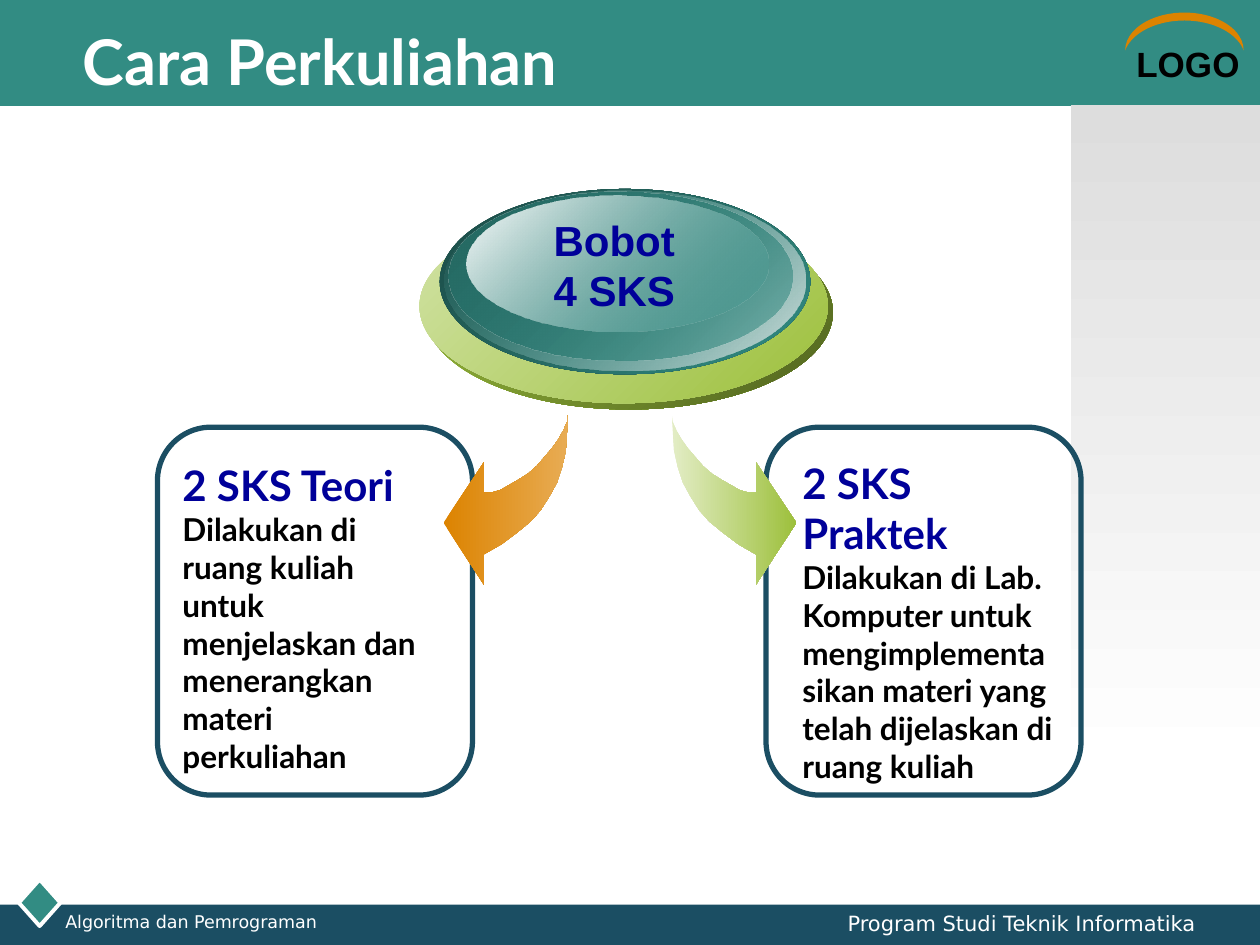
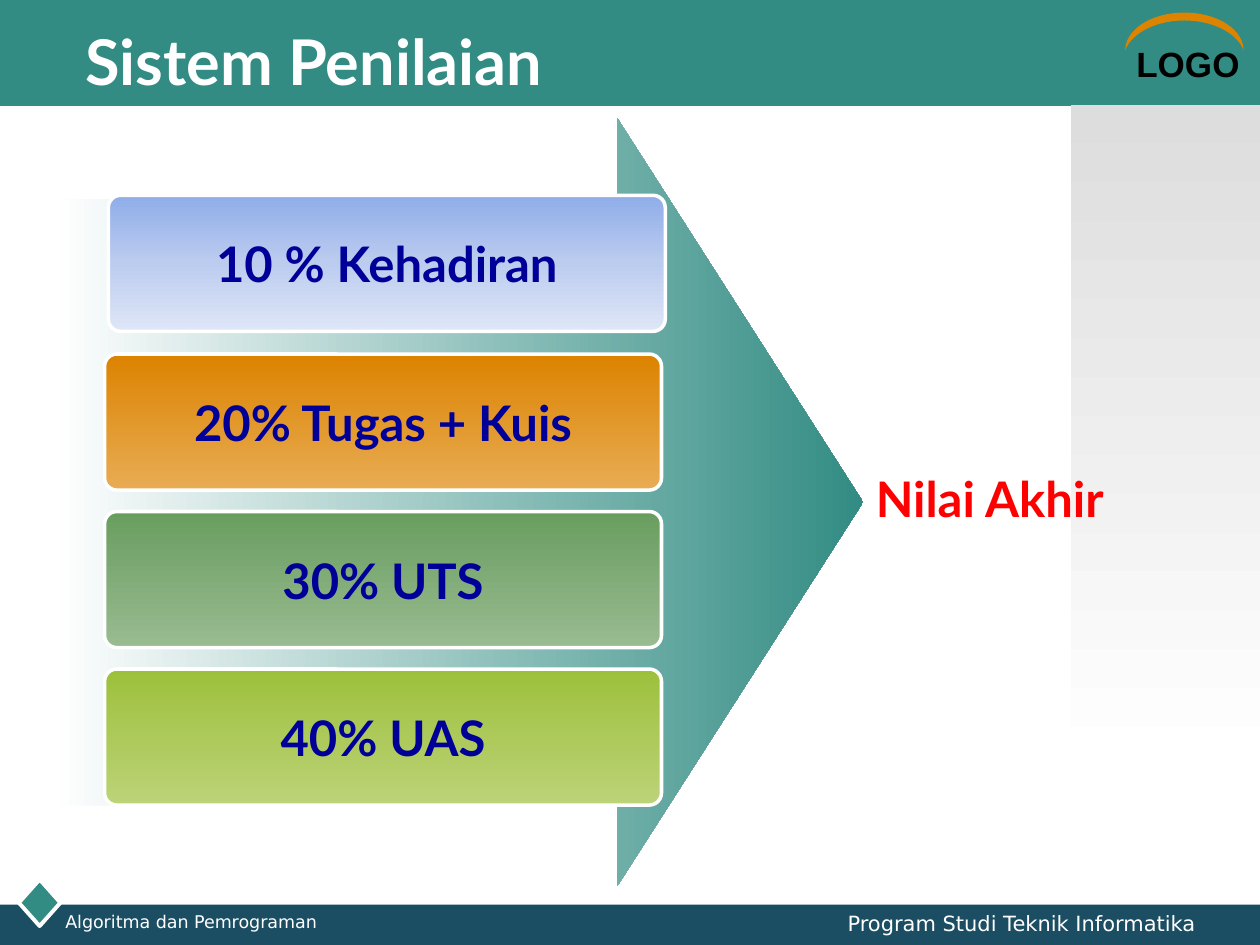
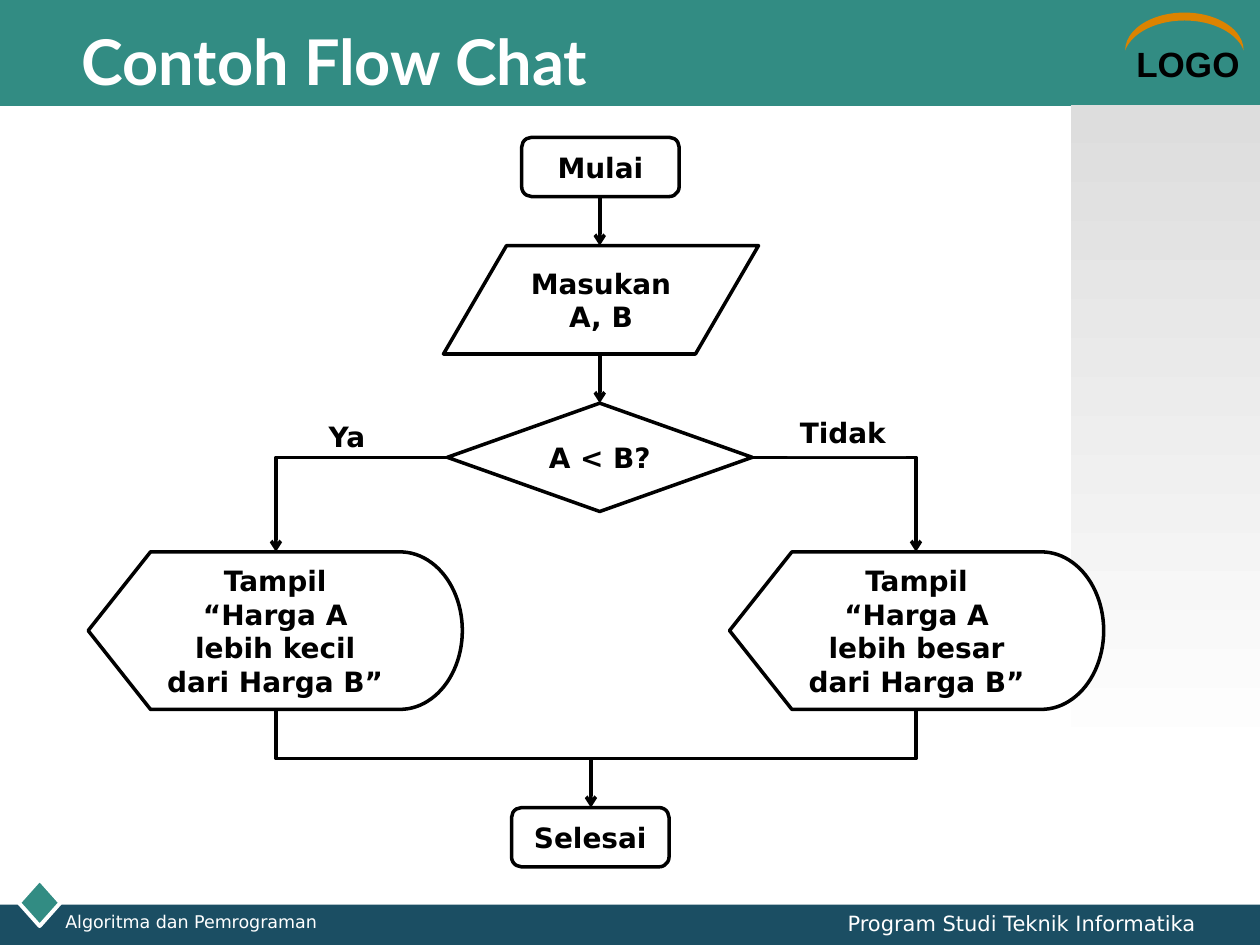
from dataclasses import dataclass

from lxml.etree import SubElement
from pptx import Presentation
from pptx.dml.color import RGBColor
from pptx.enum.shapes import MSO_CONNECTOR, MSO_SHAPE
from pptx.enum.text import MSO_ANCHOR, PP_ALIGN
from pptx.oxml.ns import qn
from pptx.util import Pt

PX = 9144
TEAL = RGBColor(0x32, 0x8C, 0x83)
DEEP_TEAL = RGBColor(0x1A, 0x4A, 0x45)
MID_TEAL = RGBColor(0x25, 0x69, 0x62)
PALE_TEAL = RGBColor(0xD5, 0xE0, 0xDE)
NAVY = RGBColor(0x1B, 0x4E, 0x63)
BLUE = RGBColor(0x00, 0x00, 0x99)
RED = RGBColor(0xFF, 0x00, 0x00)
BLACK = RGBColor(0x00, 0x00, 0x00)
WHITE = RGBColor(0xFF, 0xFF, 0xFF)
GRAY = RGBColor(0xDD, 0xDD, 0xDD)
ORANGE = RGBColor(0xDC, 0x83, 0x00)
PALE_ORANGE = RGBColor(0xE8, 0xAC, 0x54)
LIME = RGBColor(0x9D, 0xC0, 0x3C)
SOFT_LIME = RGBColor(0xBC, 0xD3, 0x78)
PALE_LIME = RGBColor(0xD2, 0xE3, 0xA6)
MIST_LIME = RGBColor(0xE3, 0xED, 0xC6)
DARK_LIME = RGBColor(0x50, 0x63, 0x1F)
GREEN = RGBColor(0x69, 0x9D, 0x5F)
PALE_GREEN = RGBColor(0x99, 0xBB, 0x91)
SKY = RGBColor(0x8F, 0xAD, 0xE9)
SOFT_SKY = RGBColor(0xBC, 0xCC, 0xEF)
PALE_SKY = RGBColor(0xDE, 0xE6, 0xF7)


@dataclass(frozen=True)
class TextStyle:
    font: str
    size: int
    color: RGBColor
    bold: bool = True


@dataclass(frozen=True)
class Gradient:
    stops: tuple
    angle: int = 0


TITLE = TextStyle("Lato", 36, WHITE)
LOGO = TextStyle("Arial", 20, BLACK)
WEIGHT = TextStyle("Arial", 24, BLUE)
CARD_HEADING = TextStyle("Lato", 24, BLUE)
CARD_BODY = TextStyle("Lato", 18, BLACK)
GRADE = TextStyle("Lato", 28, BLUE)
RESULT = TextStyle("Lato", 28, RED)
FLOW = TextStyle("DejaVu Sans", 16, BLACK)
FOOTER_LEFT = TextStyle("DejaVu Sans", 10, WHITE, False)
FOOTER_RIGHT = TextStyle("DejaVu Sans", 12, WHITE, False)


class Deck:
    def __init__(self):
        self.presentation = Presentation()
        self.presentation.slide_width = 1000 * PX
        self.presentation.slide_height = 750 * PX
        self.slide = None

    def start_slide(self, title, title_left):
        self.slide = self.presentation.slides.add_slide(self.presentation.slide_layouts[6])
        self.shape(MSO_SHAPE.RECTANGLE, (0, 0, 1000, 84), TEAL)
        self.shape(MSO_SHAPE.RECTANGLE, (0, 718, 1000, 32), NAVY)
        self.shape(MSO_SHAPE.DIAMOND, (15, 698, 33, 37), TEAL, WHITE, 2.25)
        self.text((892, 29, 108, 43), [("LOGO", LOGO)])
        arc = self.shape(MSO_SHAPE.MOON, (925, -22, 30, 94), ORANGE, adjustments=[0.21])
        arc.rotation = 90
        self.shape(MSO_SHAPE.RECTANGLE, (850, 83, 150, 525), Gradient(((0, GRAY), (100, WHITE)), 90))
        self.text((title_left, 17, 794, 62), [(title, TITLE)], anchor=MSO_ANCHOR.MIDDLE)
        self.text((42, 718, 267, 23), [("Algoritma dan Pemrograman", FOOTER_LEFT)])
        self.text((563, 718, 396, 24), [("Program Studi Teknik Informatika", FOOTER_RIGHT)], PP_ALIGN.RIGHT)

    def paint(self, shape, fill=None, line=None, width=2.0):
        shape.shadow.inherit = False
        if isinstance(fill, Gradient):
            self.paint_gradient(shape, fill)
        elif fill is None:
            shape.fill.background()
        else:
            shape.fill.solid()
            shape.fill.fore_color.rgb = fill
        if line is None:
            shape.line.fill.background()
        else:
            shape.line.color.rgb = line
            shape.line.width = Pt(width)

    def paint_gradient(self, shape, gradient):
        shape.fill.gradient()
        shape.fill.gradient_angle = -gradient.angle % 360
        stop_list = shape.element.spPr.find(qn("a:gradFill")).find(qn("a:gsLst"))
        for stop in list(stop_list):
            stop_list.remove(stop)
        for position, color, *alpha in gradient.stops:
            stop = SubElement(stop_list, qn("a:gs"), pos=str(position * 1000))
            value = SubElement(stop, qn("a:srgbClr"), val=str(color))
            for percent in alpha:
                SubElement(value, qn("a:alpha"), val=str(percent * 1000))

    def shape(self, kind, box, fill=None, line=None, width=2.0, adjustments=()):
        shape = self.slide.shapes.add_shape(kind, *(length * PX for length in box))
        for index, value in enumerate(adjustments):
            shape.adjustments[index] = value
        self.paint(shape, fill, line, width)
        return shape

    def outline(self, points, fill):
        builder = self.slide.shapes.build_freeform(*points[0], scale=PX)
        builder.add_line_segments(points[1:], close=True)
        self.paint(builder.convert_to_shape(), fill)

    def label(self, shape, paragraphs, align=PP_ALIGN.CENTER, anchor=MSO_ANCHOR.MIDDLE, wrap=True):
        frame = shape.text_frame
        frame.word_wrap = wrap
        frame.vertical_anchor = anchor
        frame.text = "\n".join(text for text, style in paragraphs)
        for paragraph, (text, style) in zip(frame.paragraphs, paragraphs):
            paragraph.alignment = align
            for run in paragraph.runs:
                run.font.name = style.font
                run.font.size = Pt(style.size)
                run.font.bold = style.bold
                run.font.color.rgb = style.color

    def text(self, box, paragraphs, align=PP_ALIGN.LEFT, anchor=MSO_ANCHOR.TOP, wrap=True):
        shape = self.slide.shapes.add_textbox(*(length * PX for length in box))
        self.label(shape, paragraphs, align, anchor, wrap)

    def flow_step(self, kind, box, *lines):
        shape = self.shape(kind, box, WHITE, BLACK)
        self.label(shape, [(line, FLOW) for line in lines])

    def connector(self, begin, end, kind=MSO_CONNECTOR.STRAIGHT, arrow=True):
        ends = (length * PX for length in (*begin, *end))
        connector = self.slide.shapes.add_connector(kind, *ends)
        connector.line.color.rgb = BLACK
        connector.line.width = Pt(2)
        properties = connector.element.spPr
        if arrow:
            SubElement(properties.find(qn("a:ln")), qn("a:tailEnd"), type="arrow")
        SubElement(properties, qn("a:effectLst"))
        return properties

    def corner(self, begin, end, arrow=True):
        properties = self.connector(begin, end, MSO_CONNECTOR.ELBOW, arrow)
        properties.find(qn("a:prstGeom")).set("prst", "bentConnector2")

    def step_down(self, begin, end):
        run, drop = end[0] - begin[0], end[1] - begin[1]
        left = (begin[0] + end[0] - drop) // 2
        top = (begin[1] + end[1] - run) // 2
        properties = self.connector((left, top), (left + drop, top + run), MSO_CONNECTOR.ELBOW)
        transform = properties.find(qn("a:xfrm"))
        transform.set("rot", "16200000")
        transform.set("flipH", "1")


def build_course_format(deck):
    deck.start_slide("Cara Perkuliahan", 56)
    for left in (608, 125):
        deck.shape(MSO_SHAPE.ROUNDED_RECTANGLE, (left, 339, 250, 292), line=NAVY, width=3, adjustments=[0.17])
    deck.text((135, 360, 223, 202), [
        ("2 SKS Teori", CARD_HEADING),
        ("Dilakukan di ruang kuliah untuk menjelaskan dan menerangkan materi perkuliahan", CARD_BODY),
    ])

    right_arrow = [
        (533, 328), (534, 343), (535, 358), (538, 371), (542, 383), (548, 394), (555, 405),
        (563, 414), (574, 423), (586, 432), (600, 440), (600, 464), (632, 415), (600, 367),
        (600, 391), (594, 391), (587, 389), (580, 385), (573, 381), (565, 376), (558, 370),
        (552, 363), (546, 356), (541, 349), (537, 342), (534, 335),
    ]
    left_arrow = [(984 - x, y) for x, y in right_arrow]
    deck.outline(left_arrow, Gradient(((0, ORANGE), (100, PALE_ORANGE))))
    deck.outline(right_arrow, Gradient(((0, MIST_LIME), (100, LIME))))

    medallion = [
        ((337, 171, 324, 154), (0, LIME), (100, DARK_LIME)),
        ((333, 166, 324, 154), (0, PALE_LIME), (100, LIME)),
        ((349, 150, 294, 147), (0, DEEP_TEAL), (100, TEAL)),
        ((353, 151, 286, 143), (0, TEAL, 0), (100, PALE_TEAL)),
        ((356, 152, 273, 134), (0, MID_TEAL), (100, TEAL, 48)),
        ((370, 155, 240, 108), (0, WHITE), (100, TEAL, 38)),
    ]
    for box, *stops in medallion:
        deck.shape(MSO_SHAPE.OVAL, box, Gradient(tuple(stops), 45))
    deck.text((429, 165, 117, 91), [("Bobot", WEIGHT), ("4 SKS", WEIGHT)], PP_ALIGN.CENTER, wrap=False)
    deck.text((627, 358, 223, 232), [
        ("2 SKS Praktek", CARD_HEADING),
        ("Dilakukan di Lab. Komputer untuk mengimplementasikan materi yang telah dijelaskan di ruang kuliah",
         CARD_BODY),
    ])


def build_grading(deck):
    deck.start_slide("Sistem Penilaian", 58)
    deck.shape(MSO_SHAPE.RIGHT_ARROW, (42, 94, 643, 609), Gradient(((0, WHITE), (100, TEAL))),
               adjustments=[0.79, 0.32])
    grades = [
        ("10 % Kehadiran", 86, 155, ((0, SKY), (50, SOFT_SKY), (100, PALE_SKY))),
        ("20% Tugas + Kuis", 83, 281, ((0, ORANGE), (100, PALE_ORANGE))),
        ("30% UTS", 83, 406, ((0, GREEN), (100, PALE_GREEN))),
        ("40% UAS", 83, 531, ((0, LIME), (100, SOFT_LIME))),
    ]
    for grade, left, top, stops in grades:
        bar = deck.shape(MSO_SHAPE.ROUNDED_RECTANGLE, (left, top, 442, 108), Gradient(stops, 90), WHITE,
                         adjustments=[0.09])
        deck.label(bar, [(grade, GRADE)], wrap=False)
    result = deck.shape(MSO_SHAPE.ROUNDED_RECTANGLE, (680, 352, 211, 86), adjustments=[0.09])
    deck.label(result, [("Nilai Akhir", RESULT)])


def build_flow_chart(deck):
    deck.start_slide("Contoh Flow Chat", 55)
    deck.flow_step(MSO_SHAPE.FLOWCHART_ALTERNATE_PROCESS, (414, 109, 125, 47), "Mulai")
    deck.flow_step(MSO_SHAPE.FLOWCHART_DATA, (352, 195, 250, 86), "Masukan", "A, B")
    deck.flow_step(MSO_SHAPE.FLOWCHART_DECISION, (355, 320, 242, 86), "A < B?")
    for left, comparison in ((70, "kecil"), (579, "besar")):
        deck.flow_step(MSO_SHAPE.FLOWCHART_DISPLAY, (left, 438, 297, 125),
                       "Tampil", f"“Harga A lebih {comparison} dari Harga B”")
    deck.flow_step(MSO_SHAPE.FLOWCHART_ALTERNATE_PROCESS, (406, 641, 125, 47), "Selesai")

    for top, bottom in ((156, 195), (281, 320)):
        deck.connector((476, top), (476, bottom))
    deck.corner((355, 363), (219, 438))
    deck.corner((597, 363), (727, 438))
    deck.step_down((219, 563), (469, 641))
    deck.corner((461, 602), (727, 563), arrow=False)

    deck.text((251, 328, 55, 37), [("Ya", FLOW)])
    no_branch = deck.shape(MSO_SHAPE.RECTANGLE, (625, 325, 94, 37), WHITE)
    deck.label(no_branch, [("Tidak", FLOW)], PP_ALIGN.LEFT, MSO_ANCHOR.TOP)


def main():
    deck = Deck()
    build_course_format(deck)
    build_grading(deck)
    build_flow_chart(deck)
    deck.presentation.save("out.pptx")


if __name__ == "__main__":
    main()
